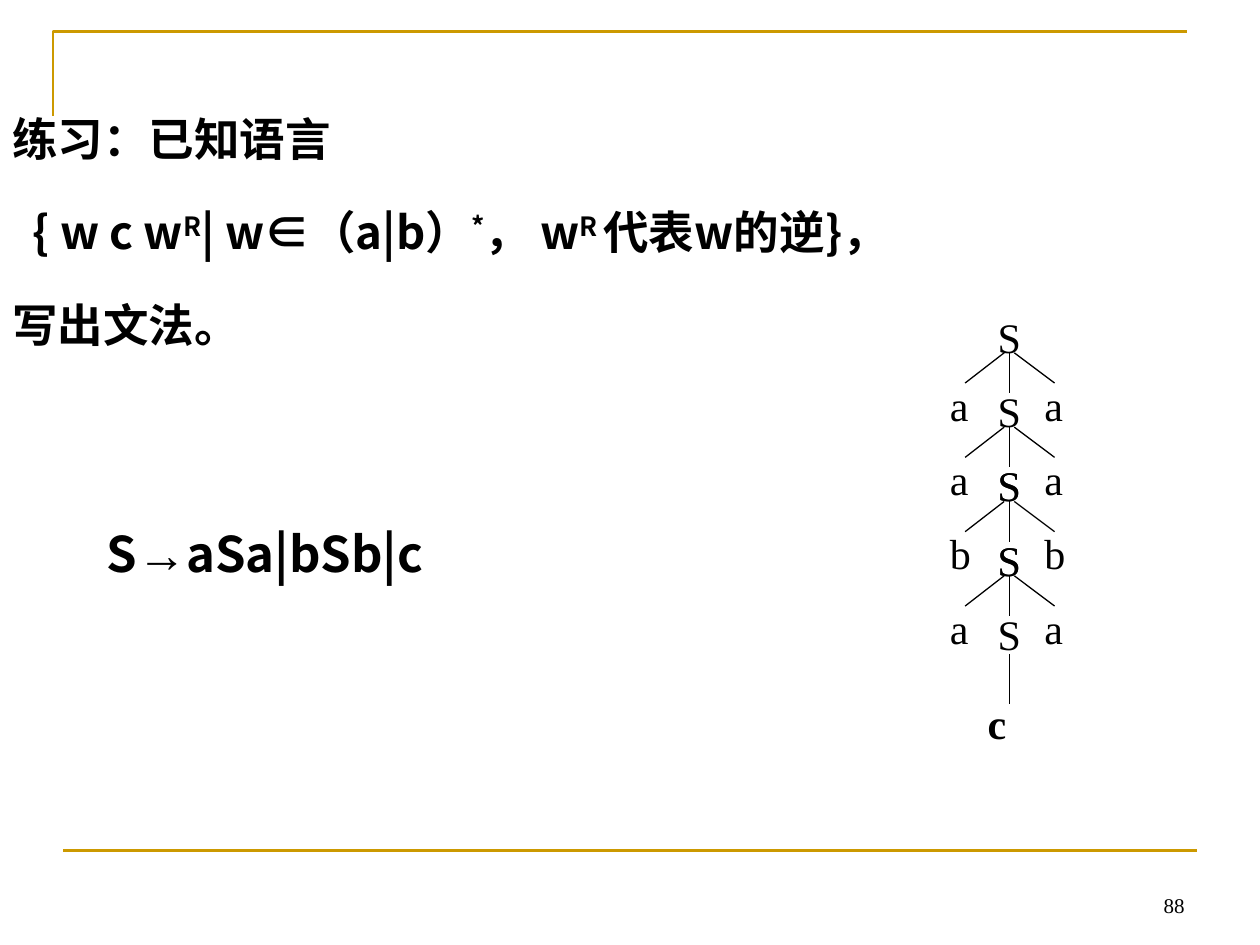
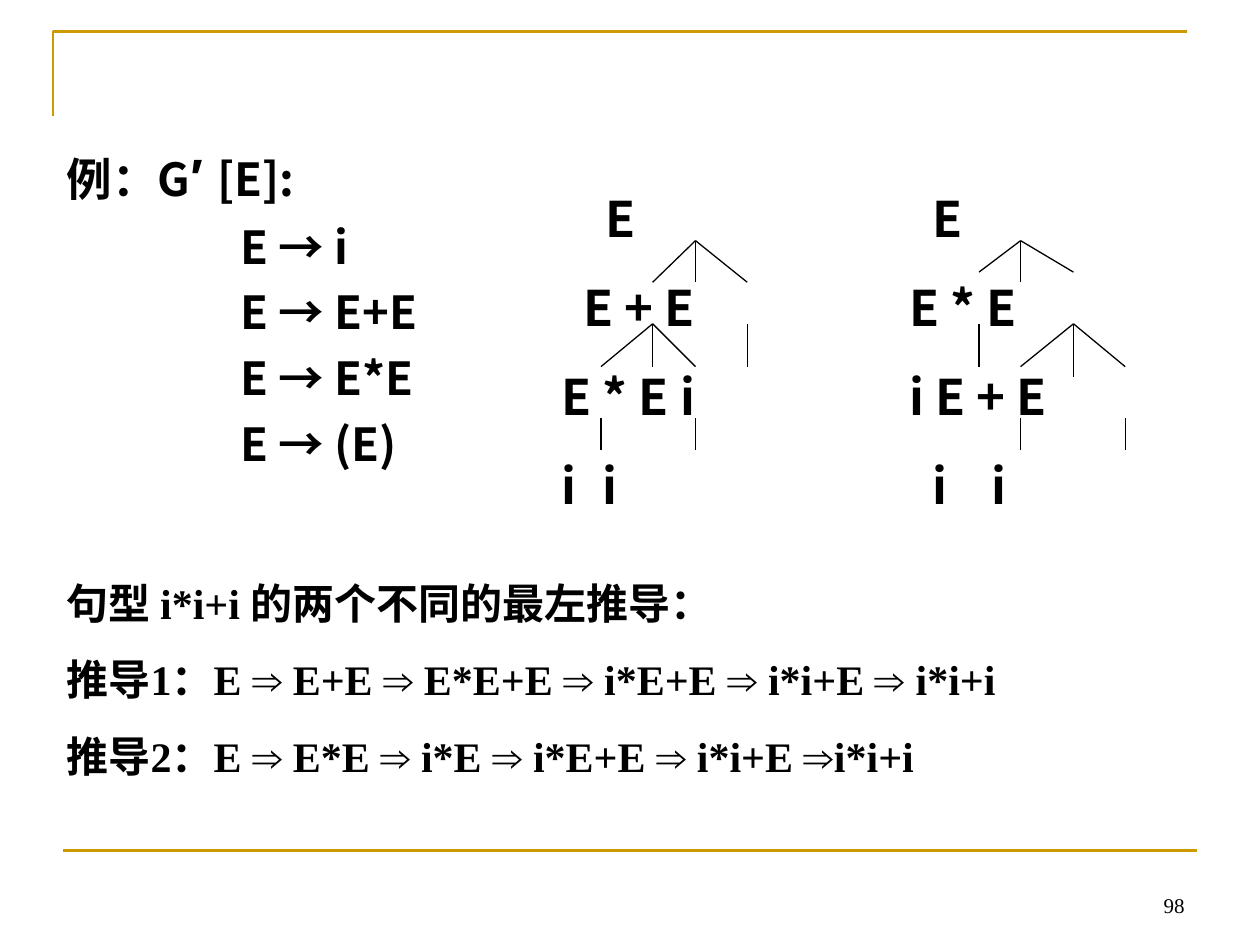
from dataclasses import dataclass
from itertools import chain

from lxml.etree import SubElement
from pptx import Presentation
from pptx.dml.color import RGBColor
from pptx.enum.shapes import MSO_CONNECTOR
from pptx.enum.text import MSO_ANCHOR, PP_ALIGN
from pptx.oxml.ns import qn
from pptx.slide import Slide
from pptx.util import Inches, Pt

GOLD = RGBColor(0xCC, 0x99, 0x00)
BLACK = RGBColor(0x00, 0x00, 0x00)
SANS = "Noto Sans CJK SC"
SERIF = "Times New Roman"
SYMBOL = "Arial"


@dataclass(frozen=True)
class Style:
    font: str
    size: float
    bold: bool = True
    line: float = 0
    before: float = 0


@dataclass(frozen=True)
class Span:
    text: str
    font: str = ""
    size: float = 0
    raised: bool = False


@dataclass(frozen=True)
class Line:
    spans: tuple[Span, ...]
    indent: float = 0
    tab: float = 0


@dataclass(frozen=True)
class Area:
    left: float
    top: float
    width: float
    height: float
    inset: float = 0.05


@dataclass(frozen=True)
class Edge:
    x1: float
    y1: float
    x2: float
    y2: float


@dataclass(frozen=True)
class Level:
    leaf: str
    has_own_root: bool


@dataclass(frozen=True)
class ParseTree:
    left: float
    lines: tuple[Line, ...]
    edges: tuple[Edge, ...]


NUMBER = Style(SERIF, 12, bold=False)
QUESTION = Style(SANS, 26, line=46.6, before=6.5)
GRAMMAR = Style(SANS, 28, line=50)
RULES = Style(SANS, 26, line=31.2, before=6.5)
TREE = Style(SANS, 28, line=33.4, before=17.5)
DERIVATION = Style(SERIF, 24, line=28.8, before=15)
NODE = Style(SERIF, 24, bold=False, line=28.8)
END_NODE = Style(SERIF, 24, line=28.8)


def plain(text: str, indent: float = 0, tab: float = 0) -> Line:
    return Line((Span(text),), indent, tab)


def add_text(page: Slide, area: Area, style: Style, lines: tuple[Line, ...],
             align: PP_ALIGN = PP_ALIGN.LEFT, anchor: MSO_ANCHOR = MSO_ANCHOR.TOP) -> None:
    box = page.shapes.add_textbox(Inches(area.left), Inches(area.top),
                                  Inches(area.width), Inches(area.height))
    frame = box.text_frame
    frame.word_wrap = True
    frame.vertical_anchor = anchor
    frame.margin_top = Inches(area.inset)
    for index, line in enumerate(lines):
        para = frame.add_paragraph() if index else frame.paragraphs[0]
        properties = para._p.get_or_add_pPr()
        properties.set("marL", "0")
        properties.set("indent", str(Inches(line.indent)))
        if line.tab:
            stops = SubElement(properties, qn("a:tabLst"))
            SubElement(stops, qn("a:tab"), pos=str(Inches(line.tab)), algn="l")
        para.alignment = align
        if style.line:
            para.line_spacing = Pt(style.line)
        para.space_before = Pt(style.before if index else 0)
        for span in line.spans:
            add_span(para, span, style)


def add_span(para, span: Span, style: Style) -> None:
    run = para.add_run()
    run.text = span.text
    name = span.font or style.font
    run.font.name = name
    run.font.size = Pt(span.size or style.size)
    run.font.bold = style.bold
    run.font.color.rgb = BLACK
    properties = run._r.get_or_add_rPr()
    SubElement(properties, qn("a:ea"), typeface=SANS if name == SERIF else name)
    if span.raised:
        properties.set("baseline", "30000")


def add_edge(page: Slide, edge: Edge, color: RGBColor = BLACK, width: float = 0.75) -> None:
    connector = page.shapes.add_connector(
        MSO_CONNECTOR.STRAIGHT, Inches(edge.x1), Inches(edge.y1),
        Inches(edge.x2), Inches(edge.y2))
    connector.line.color.rgb = color
    connector.line.width = Pt(width)
    SubElement(connector._element.spPr, qn("a:effectLst"))


def add_page(deck, number: int) -> Slide:
    page = deck.slides.add_slide(deck.slide_layouts[6])
    builder = page.shapes.build_freeform(Inches(0.42), Inches(0.92))
    builder.add_line_segments([(Inches(0.42), Inches(0.25)),
                               (Inches(9.42), Inches(0.25))], close=False)
    corner = builder.convert_to_shape()
    corner.shadow.inherit = False
    corner.fill.background()
    corner.line.color.rgb = GOLD
    corner.line.width = Pt(1.5)
    add_edge(page, Edge(0.5, 6.75, 9.5, 6.75), GOLD, 1.5)
    add_text(page, Area(7.17, 6.83, 2.33, 0.5), NUMBER, (plain(str(number)),),
             PP_ALIGN.RIGHT, MSO_ANCHOR.BOTTOM)
    return page


def add_node(page: Slide, text: str, left: float, top: float, style: Style = NODE) -> None:
    add_text(page, Area(left, top, 0.71, 0.5, 0.06), style, (plain(text),))


def add_sentence_tree(page: Slide, levels: tuple[Level, ...]) -> None:
    step = 0.59
    for index, level in enumerate(levels):
        top = 2.41 + index * step
        if level.has_own_root:
            add_node(page, "S", 7.82, top)
        for left in (7.44, 8.19):
            add_node(page, level.leaf, left, top + 0.54)
        for start, end, drop in ((7.97, 7.66, 0.24), (8.05, 8.37, 0.24), (8.01, 8.01, 0.32)):
            add_edge(page, Edge(start, top + 0.39, end, top + 0.39 + drop))
        add_node(page, "S", 7.82, top + step)
    add_node(page, "c", 7.74, 5.48, END_NODE)
    add_edge(page, Edge(8.01, 5.19, 8.01, 5.59))


def fan(x: float, top: float, ends: tuple[tuple[float, float], ...]) -> tuple[Edge, ...]:
    return tuple(Edge(x, top, end, bottom) for end, bottom in ends)


def drops(top: float, bottom: float, *columns: float) -> tuple[Edge, ...]:
    return tuple(Edge(x, top, x, bottom) for x in columns)


def derivation(label: str, forms: tuple[str, ...], last: str) -> Line:
    steps = chain.from_iterable((Span("⇒", SYMBOL), Span(f" {form} ")) for form in forms)
    return Line((Span(f"{label}：E "), *steps, Span("⇒", SYMBOL), Span(last)))


def build_exercise(deck) -> None:
    page = add_page(deck, 88)
    language = Line((
        Span("{ w c w"), Span("R", raised=True), Span("| w∈（a|b）"),
        Span("*", raised=True), Span("， w"), Span("R ", raised=True),
        Span("代表w的逆}，")), indent=0.16)
    add_text(page, Area(0, 0.21, 10, 3.47, 0.46), QUESTION,
             (plain("练习：已知语言"), language, plain("写出文法。")))
    add_text(page, Area(0.75, 3.83, 7.24, 0.8, 0.1), GRAMMAR,
             (Line((Span("S"), Span("→", SYMBOL), Span("aSa|bSb|c"))),))
    add_sentence_tree(page, (Level("a", True), Level("a", False),
                             Level("b", True), Level("a", True)))


def build_ambiguity(deck) -> None:
    page = add_page(deck, 98)
    heading = Line((Span("例：G"), Span("′ ", SYMBOL, 30), Span("[E]:")))
    rules = tuple(plain(f"E → {body}", 1.38) for body in ("i", "E+E", "E*E", "(E)"))
    add_text(page, Area(0.43, 1.07, 3.1, 3.28, 0.14), RULES, (heading, *rules))
    trees = (
        ParseTree(4.18, (plain("E", 0.53), plain("E + E", 0.35),
                         plain("E * E i", 0.18), plain("i\ti", 0.18, 0.55)),
                  fan(5.52, 1.91, ((5.52, 2.24), (5.18, 2.24), (5.93, 2.24)))
                  + fan(5.18, 2.57, ((5.18, 2.91), (4.77, 2.91), (5.52, 2.91)))
                  + drops(2.57, 2.91, 5.93) + drops(3.32, 3.57, 4.77, 5.52)),
        ParseTree(6.77, (plain("E", 0.53), plain("E * E", 0.35),
                         plain("i E + E", 0.35), plain("i\ti", 0.53, 0.9)),
                  fan(8.1, 1.91, ((8.1, 2.24), (7.77, 2.16), (8.52, 2.16)))
                  + drops(2.57, 2.91, 7.77)
                  + fan(8.52, 2.57, ((8.52, 2.99), (8.1, 2.91), (8.93, 2.91)))
                  + drops(3.32, 3.57, 8.1, 8.93)),
    )
    for tree in trees:
        add_text(page, Area(tree.left, 1.41, 2.5, 2.7, 0.09), TREE, tree.lines)
        for edge in tree.edges:
            add_edge(page, edge)
    add_text(page, Area(0.43, 4.49, 8.58, 1.72, 0.09), DERIVATION, (
        plain("句型 i*i+i 的两个不同的最左推导："),
        derivation("推导1", ("E+E", "E*E+E", "i*E+E", "i*i+E"), " i*i+i"),
        derivation("推导2", ("E*E", "i*E", "i*E+E", "i*i+E"), "i*i+i")))


def main() -> None:
    deck = Presentation()
    deck.slide_width = Inches(10)
    deck.slide_height = Inches(7.5)
    build_exercise(deck)
    build_ambiguity(deck)
    deck.save("out.pptx")


if __name__ == "__main__":
    main()
